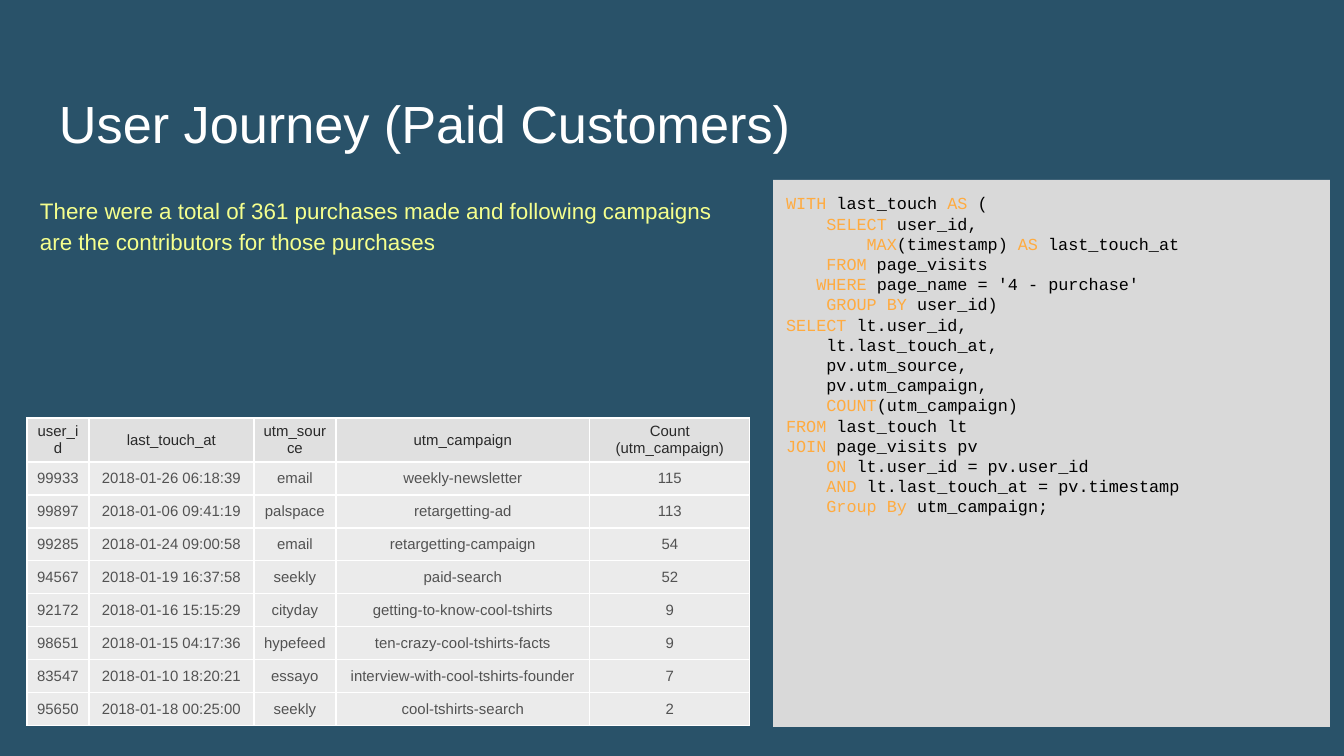
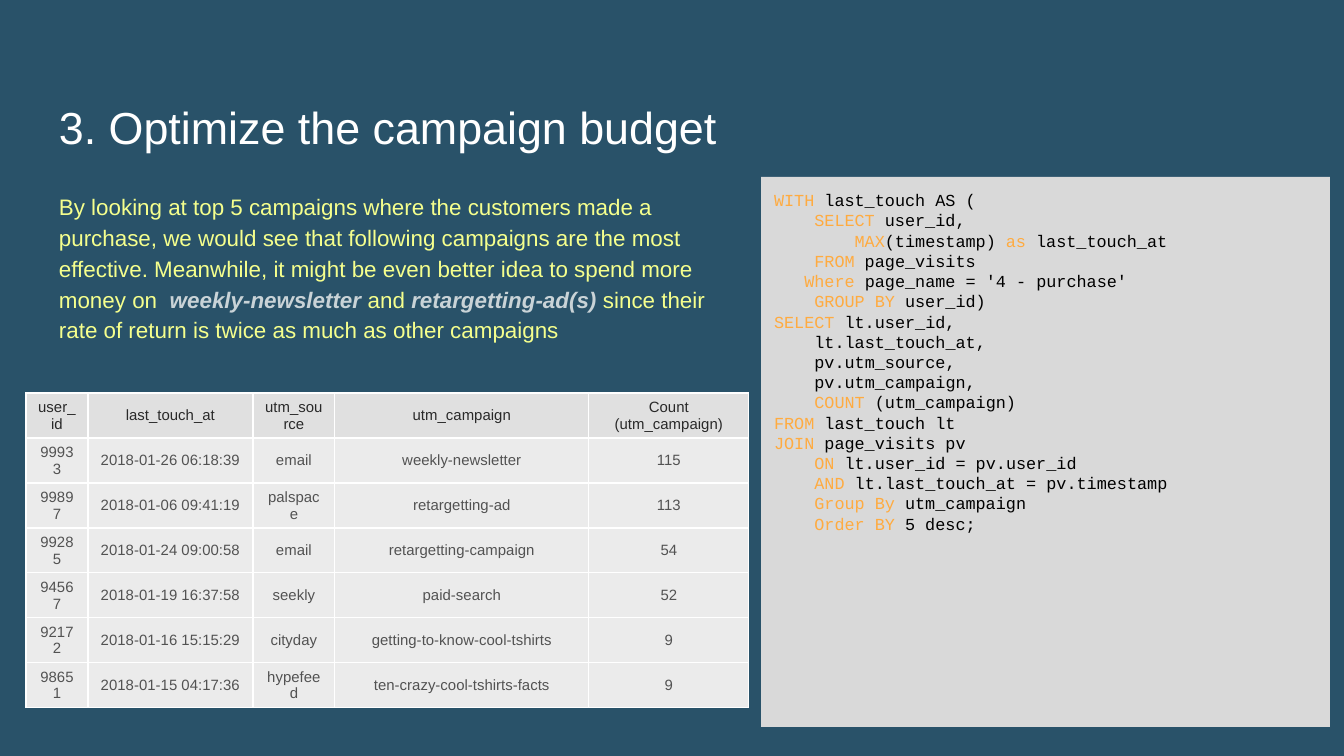
from dataclasses import dataclass

from lxml import etree
from pptx import Presentation
from pptx import util as u
from pptx.dml.color import RGBColor
from pptx.enum import shapes, text
from pptx.oxml.ns import qn

PX = 914400 / 134.4
PAGE = (1344, 756)
TITLE_BOX = (46, 43, 1253, 124)
COLUMN_WIDTHS = (62, 165, 82, 254, 160)
INSET = 13


@dataclass(frozen=True)
class Theme:
    background: str = "295269"
    title: str = "FFFFFF"
    intro: str = "F5FF8D"
    emphasis: str = "C9D3D7"
    panel: str = "D9D9D9"
    code: str = "000000"
    keyword: str = "FFAB40"
    header_fill: str = "E0E0E0"
    header_text: str = "292929"
    row_fill: str = "EBEBEB"
    row_text: str = "525252"
    border: str = "FFFFFF"
    border_width: float = 0.75
    body_font: str = "Arial"
    code_font: str = "Courier New"
    intro_size: int = 12
    code_size: int = 9
    table_size: int = 8
    intro_spacing: float = 1.15


THEME = Theme()

HEADER = ("user_id", "last_touch_at", "utm_source", "utm_campaign", "Count (utm_campaign)")
PURCHASES = [
    ("99933", "2018-01-26 06:18:39", "email", "weekly-newsletter", "115"),
    ("99897", "2018-01-06 09:41:19", "palspace", "retargetting-ad", "113"),
    ("99285", "2018-01-24 09:00:58", "email", "retargetting-campaign", "54"),
    ("94567", "2018-01-19 16:37:58", "seekly", "paid-search", "52"),
    ("92172", "2018-01-16 15:15:29", "cityday", "getting-to-know-cool-tshirts", "9"),
    ("98651", "2018-01-15 04:17:36", "hypefeed", "ten-crazy-cool-tshirts-facts", "9"),
    ("83547", "2018-01-10 18:20:21", "essayo", "interview-with-cool-tshirts-founder", "7"),
    ("95650", "2018-01-18 00:25:00", "seekly", "cool-tshirts-search", "2"),
]

# Bars enclose the highlighted parts of the query and of the intro texts.
QUERY = """|WITH| last_touch {opening} (
    |SELECT| user_id,
        |MAX|(timestamp) |{alias}| last_touch_at
    |FROM| page_visits
   |{where}| page_name = '4 - purchase'
    |GROUP BY| user_id)
|SELECT| lt.user_id,
    lt.last_touch_at,
    pv.utm_source,
    pv.utm_campaign,
    |{count}|(utm_campaign)
|FROM| last_touch lt
|JOIN| page_visits pv
    |ON| lt.user_id = pv.user_id
    |AND| lt.last_touch_at = pv.timestamp
    |Group By| utm_campaign{ending}"""

SLIDES = [
    {
        "title": "User Journey (Paid Customers)",
        "title_size": 28,
        "intro": "There were a total of 361 purchases made and following campaigns "
                 "are the contributors for those purchases",
        "intro_box": (27, 180, 723, 255),
        "intro_indent": 0,
        "query": QUERY.format(opening="|AS|", alias="AS", where="WHERE",
                              count="COUNT", ending=";"),
        "query_box": (773, 180, 557, 547),
        "rows": PURCHASES,
        "table_at": (27, 418),
        "row_heights": (44, 33),
        "cell_margin": 9,
    },
    {
        "title": "3. Optimize the campaign budget",
        "title_size": 24,
        "intro": "By looking at top 5 campaigns where the customers made a purchase, "
                 "we would see that following campaigns are the most effective. "
                 "Meanwhile, it might be even better idea to spend more money on  "
                 "|weekly-newsletter |and |retargetting-ad(s) |since their rate of "
                 "return is twice as much as other campaigns",
        "intro_box": (26, 176, 723, 269),
        "intro_indent": 20,
        "query": QUERY.format(opening="AS", alias="as", where="Where", count="COUNT ",
                              ending="\n    |Order BY| 5 desc;"),
        "query_box": (761, 177, 569, 550),
        "rows": PURCHASES[:6],
        "table_at": (26, 393),
        "row_heights": (45, 45),
        "cell_margin": 12,
    },
]


def px(length):
    return u.Emu(round(length * PX))


def place(shape, box):
    for name, length in zip(("left", "top", "width", "height"), box):
        setattr(shape, name, px(length))


def set_frame(frame, anchor=text.MSO_ANCHOR.TOP):
    frame.word_wrap = True
    frame.auto_size = text.MSO_AUTO_SIZE.NONE
    frame.vertical_anchor = anchor
    for side in ("left", "top", "right", "bottom"):
        setattr(frame, f"margin_{side}", px(INSET))


def add_run(paragraph, words, color, **formats):
    run = paragraph.add_run()
    run.text = words
    run.font.color.rgb = RGBColor.from_string(color)
    for name, value in formats.items():
        setattr(run.font, name, value)


def add_marked_runs(paragraph, marked, plain, highlight, shared, special):
    """Split at bars; every second piece takes the highlight formats."""
    for index, words in enumerate(marked.split("|")):
        if words:
            marked_piece = index % 2 == 1
            extra = special if marked_piece else {}
            add_run(paragraph, words, highlight if marked_piece else plain, **shared, **extra)


def add_title(slide, content):
    title = slide.shapes.title
    place(title, TITLE_BOX)
    set_frame(title.text_frame, text.MSO_ANCHOR.BOTTOM)
    paragraph = title.text_frame.paragraphs[0]
    paragraph.alignment = text.PP_ALIGN.LEFT
    add_run(paragraph, content["title"], THEME.title,
            name=THEME.body_font, size=u.Pt(content["title_size"]))


def add_query(slide, content):
    panel = slide.shapes.add_shape(shapes.MSO_SHAPE.RECTANGLE, 0, 0, 0, 0)
    place(panel, content["query_box"])
    panel.shadow.inherit = False
    panel.fill.solid()
    panel.fill.fore_color.rgb = RGBColor.from_string(THEME.panel)
    panel.line.fill.background()
    frame = panel.text_frame
    set_frame(frame)
    font = {"name": THEME.code_font, "size": u.Pt(THEME.code_size)}
    for index, line in enumerate(content["query"].split("\n")):
        paragraph = frame.add_paragraph() if index else frame.paragraphs[0]
        paragraph.alignment = text.PP_ALIGN.LEFT
        add_marked_runs(paragraph, line, THEME.code, THEME.keyword, font, {})


def add_intro(slide, content):
    box = slide.shapes.add_textbox(0, 0, 0, 0)
    place(box, content["intro_box"])
    set_frame(box.text_frame)
    paragraph = box.text_frame.paragraphs[0]
    paragraph.line_spacing = THEME.intro_spacing
    if content["intro_indent"]:
        paragraph._p.get_or_add_pPr().set("marL", str(px(content["intro_indent"])))
    font = {"name": THEME.body_font, "size": u.Pt(THEME.intro_size)}
    add_marked_runs(paragraph, content["intro"], THEME.intro, THEME.emphasis,
                    font, {"bold": True, "italic": True})


def add_borders(cell):
    properties = cell._tc.get_or_add_tcPr()
    for side in ("lnL", "lnR", "lnT", "lnB"):
        line = etree.SubElement(properties, qn(f"a:{side}"), w=str(u.Pt(THEME.border_width)))
        fill = etree.SubElement(line, qn("a:solidFill"))
        etree.SubElement(fill, qn("a:srgbClr"), val=THEME.border)


def fill_cell(cell, words, fill, color, margin):
    add_borders(cell)
    cell.fill.solid()
    cell.fill.fore_color.rgb = RGBColor.from_string(fill)
    formats = {
        "vertical_anchor": text.MSO_ANCHOR.MIDDLE,
        "margin_left": px(margin), "margin_right": px(margin),
        "margin_top": px(5), "margin_bottom": px(5),
    }
    for name, value in formats.items():
        setattr(cell, name, value)
    paragraph = cell.text_frame.paragraphs[0]
    paragraph.alignment = text.PP_ALIGN.CENTER
    add_run(paragraph, words, color, name=THEME.body_font, size=u.Pt(THEME.table_size))


def add_purchases(slide, content):
    rows = [HEADER, *content["rows"]]
    header_height, row_height = content["row_heights"]
    height = header_height + row_height * len(content["rows"])
    left, top = content["table_at"]
    table = slide.shapes.add_table(len(rows), len(HEADER), px(left), px(top),
                                   px(sum(COLUMN_WIDTHS)), px(height)).table
    table.first_row = table.horz_banding = False
    for column, width in zip(table.columns, COLUMN_WIDTHS):
        column.width = px(width)
    for index, values in enumerate(rows):
        table.rows[index].height = px(row_height if index else header_height)
        fill, color = ((THEME.row_fill, THEME.row_text) if index
                       else (THEME.header_fill, THEME.header_text))
        for cell, words in zip(table.rows[index].cells, values):
            fill_cell(cell, words, fill, color, content["cell_margin"])


def main():
    presentation = Presentation()
    presentation.slide_width, presentation.slide_height = map(px, PAGE)
    background = presentation.slide_master.background.fill
    background.solid()
    background.fore_color.rgb = RGBColor.from_string(THEME.background)
    title_only = presentation.slide_layouts.get_by_name("Title Only")
    for content in SLIDES:
        slide = presentation.slides.add_slide(title_only)
        for add_part in (add_title, add_query, add_intro, add_purchases):
            add_part(slide, content)
    presentation.save("out.pptx")


if __name__ == "__main__":
    main()
